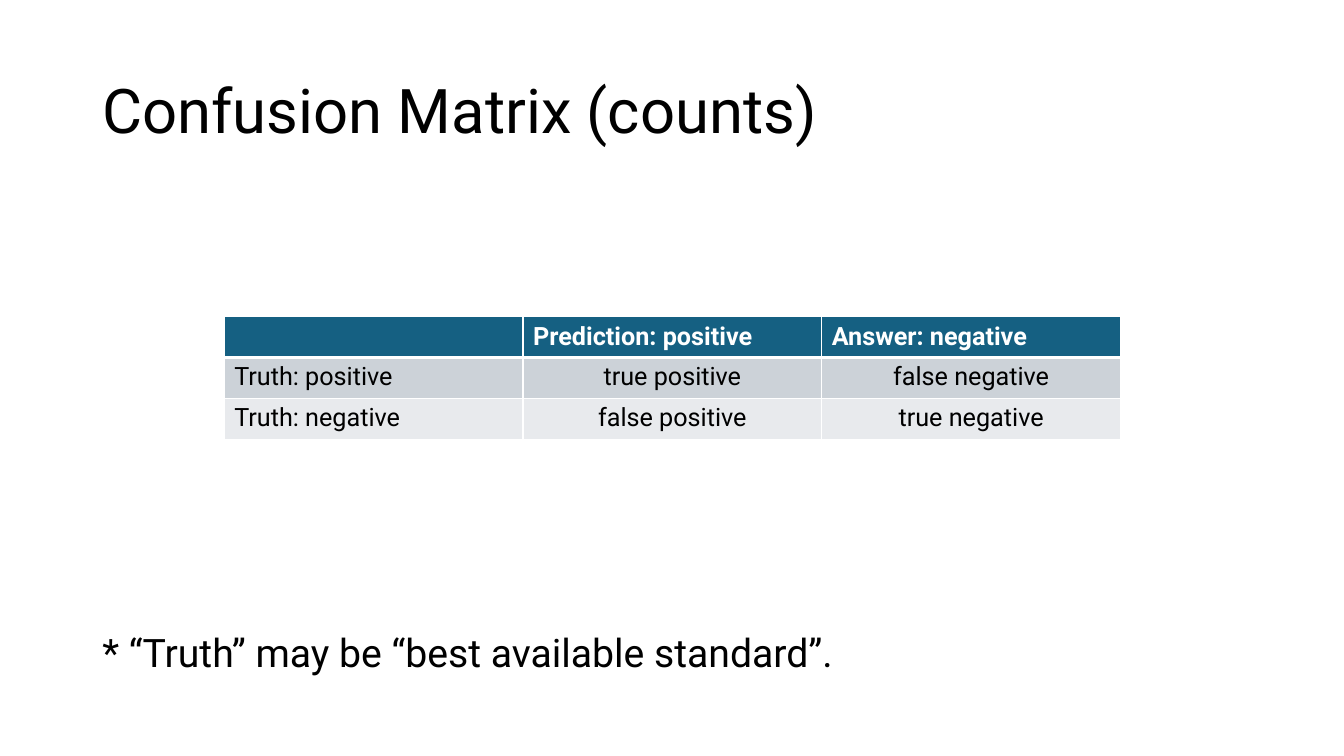
from lxml import etree
from pptx import Presentation
from pptx.dml.color import RGBColor
from pptx.enum.text import MSO_ANCHOR, PP_ALIGN
from pptx.oxml.ns import qn
from pptx.util import Cm, Pt

FONT = "Roboto"
TITLE = "Confusion Matrix (counts)"
NOTE = "* “Truth” may be “best available standard”."
ROWS = [
    ("", "Prediction: positive", "Answer: negative"),
    ("Truth: positive", "true positive", "false negative"),
    ("Truth: negative", "false positive", "true negative"),
]
FILLS = ["156082", "CCD2D8", "E8EAED"]
BLACK, WHITE = "000000", "FFFFFF"
COL_W, ROW_H = 7.53, 1.03


def color(code):
    return RGBColor.from_string(code)


def style(font, size, code, bold=False):
    font.name = FONT
    font.size = Pt(size)
    font.bold = bold
    font.color.rgb = color(code)


def add_text(slide, words, top, height, size, anchor):
    box = slide.shapes.add_textbox(Cm(2.33), Cm(top), Cm(29.21), Cm(height))
    frame = box.text_frame
    frame.word_wrap = True
    frame.vertical_anchor = anchor
    frame.text = words
    para = frame.paragraphs[0]
    para.line_spacing = 0.9
    style(para.runs[0].font, size, BLACK)


def add_edge(cell, side, width):
    """Draw one white cell border; must come before the cell fill."""
    props = cell._tc.get_or_add_tcPr()
    line = etree.SubElement(props, qn("a:" + side), w=str(Pt(width)))
    fill = etree.SubElement(line, qn("a:solidFill"))
    etree.SubElement(fill, qn("a:srgbClr"), val=WHITE)


def add_matrix(slide):
    cols = len(ROWS[0])
    grid = slide.shapes.add_table(
        len(ROWS), cols, Cm(5.65), Cm(7.98),
        Cm(COL_W * cols), Cm(ROW_H * len(ROWS))).table
    for col in grid.columns:
        col.width = Cm(COL_W)
    for r, words in enumerate(ROWS):
        grid.rows[r].height = Cm(ROW_H)
        for c, word in enumerate(words):
            cell = grid.cell(r, c)
            head = r == 0
            for side in ("lnL", "lnR", "lnT", "lnB"):
                thick = (head and side == "lnB") or (r == 1 and side == "lnT")
                add_edge(cell, side, 3 if thick else 1)
            cell.fill.solid()
            cell.fill.fore_color.rgb = color(FILLS[r])
            cell.text_frame.text = word
            para = cell.text_frame.paragraphs[0]
            style(para.font, 18, WHITE if head else BLACK, head)
            for run in para.runs:
                style(run.font, 18, WHITE if head else BLACK, head)
            if r and c:
                para.alignment = PP_ALIGN.CENTER


def main():
    deck = Presentation()
    deck.slide_width, deck.slide_height = Cm(33.87), Cm(19.05)
    slide = deck.slides.add_slide(deck.slide_layouts[6])
    add_text(slide, NOTE, 5.07, 12.09, 28, MSO_ANCHOR.BOTTOM)
    add_text(slide, TITLE, 1.01, 3.68, 44, MSO_ANCHOR.MIDDLE)
    add_matrix(slide)
    deck.save("out.pptx")


if __name__ == "__main__":
    main()
